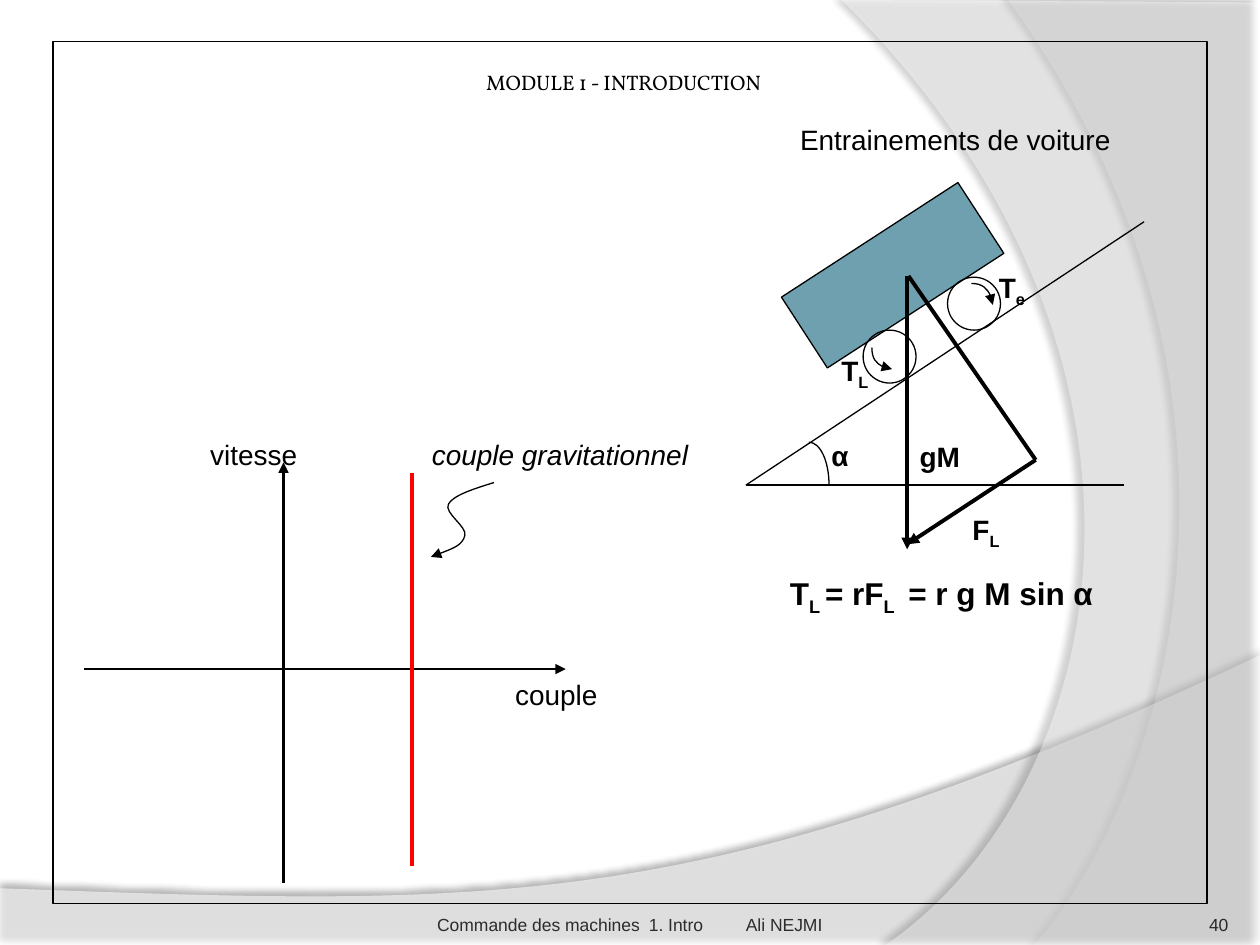
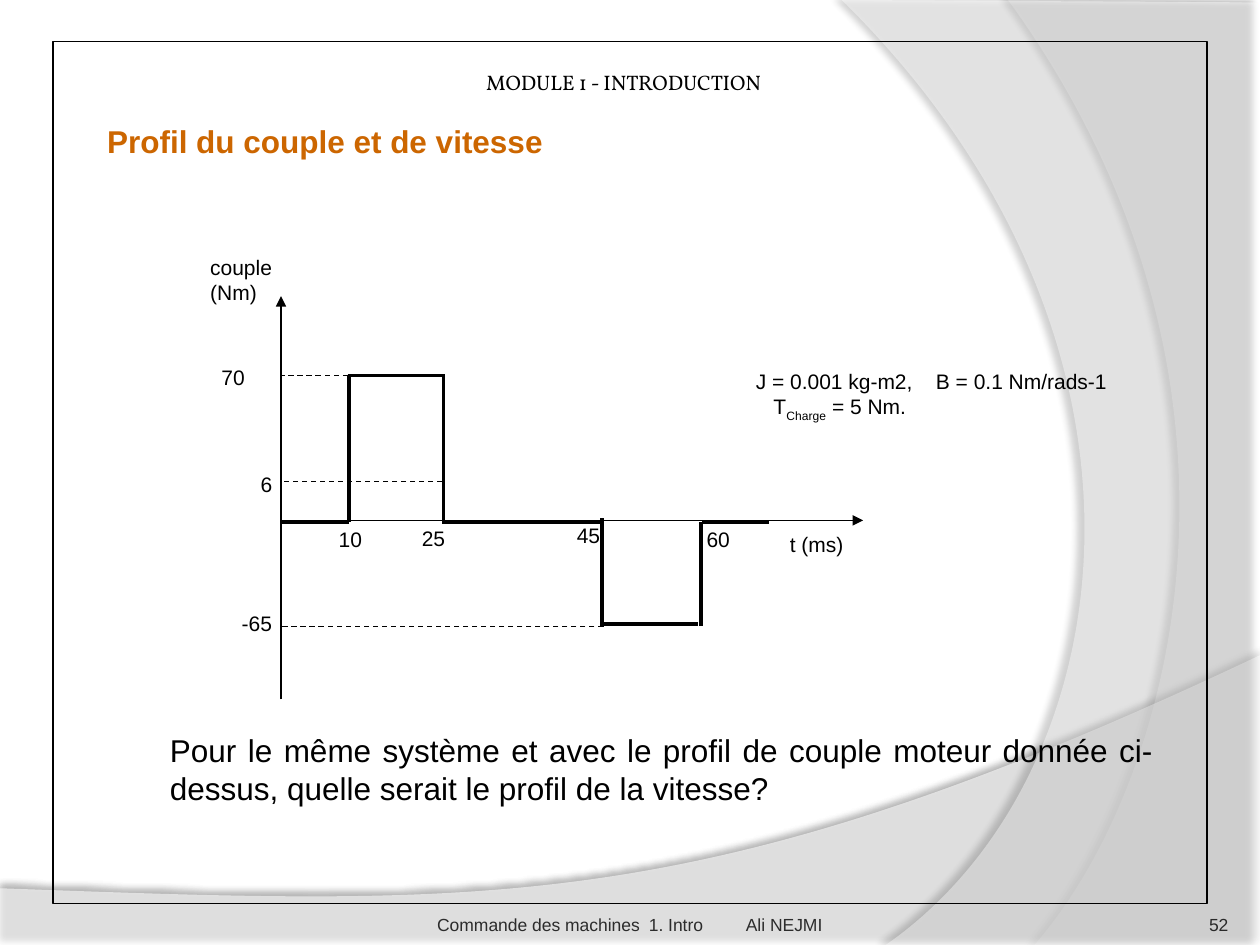
from pptx import Presentation
from pptx.dml.color import RGBColor
from pptx.enum.dml import MSO_LINE
from pptx.enum.shapes import MSO_CONNECTOR, MSO_SHAPE
from pptx.enum.text import MSO_ANCHOR, MSO_AUTO_SIZE, PP_ALIGN
from pptx.oxml.ns import qn
from pptx.oxml.xmlchemy import OxmlElement
from pptx.util import Pt

PX = 9144  # one px is 1/100 inch
STRAIGHT = MSO_CONNECTOR.STRAIGHT
RECTANGLE, OVAL = MSO_SHAPE.RECTANGLE, MSO_SHAPE.OVAL
DASH = MSO_LINE.DASH
TOP, MIDDLE, BOTTOM = MSO_ANCHOR.TOP, MSO_ANCHOR.MIDDLE, MSO_ANCHOR.BOTTOM
LEFT, CENTER, RIGHT, JUSTIFY = PP_ALIGN.LEFT, PP_ALIGN.CENTER, PP_ALIGN.RIGHT, PP_ALIGN.JUSTIFY
COLORS = {"black": "000000", "white": "FFFFFF", "car": "6EA0B0", "red": "FF0000",
          "heading": "CC6600", "footer": "2C2C2C", "number": "292929"}
COLORS = {name: RGBColor.from_string(value) for name, value in COLORS.items()}


def add_text(slide, box, paragraphs, size=12, color="black", bold=False, italic=False,
             font="Arial", align=LEFT, anchor=TOP, insets=(10, 5, 10, 5), tabs=(),
             indent=0, shape=None):
    """Each paragraph is a list of runs; every second run is a subscript."""
    left, top, width, height = [value * PX for value in box]
    if shape is None:
        shape = slide.shapes.add_textbox(left, top, width, height)
    shape.left, shape.top, shape.width, shape.height = left, top, width, height
    frame = shape.text_frame
    frame.word_wrap, frame.auto_size, frame.vertical_anchor = True, MSO_AUTO_SIZE.NONE, anchor
    (frame.margin_left, frame.margin_top,
     frame.margin_right, frame.margin_bottom) = [value * PX for value in insets]
    for number, runs in enumerate(paragraphs):
        paragraph = frame.add_paragraph() if number else frame.paragraphs[0]
        paragraph.alignment = align
        properties = paragraph._p.get_or_add_pPr()
        if number and indent:
            properties.set("marL", str(indent * PX))
        if tabs:
            tab_list = OxmlElement("a:tabLst")
            for position in tabs:
                tab = OxmlElement("a:tab")
                tab.set("pos", str(position * PX))
                tab.set("algn", "l")
                tab_list.append(tab)
            properties.append(tab_list)
        for index, text in enumerate(runs):
            run = paragraph.add_run()
            run.text = text
            run.font.name, run.font.size = font, Pt(size)
            run.font.bold, run.font.italic = bold, italic
            run.font.color.rgb = COLORS[color]
            if index % 2:
                run._r.get_or_add_rPr().set("baseline", "-25000")


def add_curve(slide, corners, controls, close=False):
    """Straight corners, then cubic curves with three control points each."""
    builder = slide.shapes.build_freeform(*corners[0], scale=PX)
    builder.add_line_segments(corners[1:] + controls, close=close)
    shape = builder.convert_to_shape()
    shape.fill.background()
    segments = list(shape.element.iter(qn("a:lnTo")))[-len(controls):]
    for first in range(0, len(segments), 3):
        cubic = OxmlElement("a:cubicBezTo")
        segments[first].addprevious(cubic)
        for segment in segments[first:first + 3]:
            cubic.append(segment[0])
            segment.getparent().remove(segment)
    return shape


presentation = Presentation()
presentation.slide_width, presentation.slide_height = 1000 * PX, 750 * PX
layout = presentation.slide_layouts[5]
car_slide = presentation.slides.add_slide(layout)
profile_slide = presentation.slides.add_slide(layout)

# Translucent background bands, moved to the shared layout
floor = ([(0, 705), (0, 751), (1000, 751), (1000, 520)],
         [(559, 729), (391, 719), (0, 705)], 45, 35, 3.5, 270)
narrow_band = ([(1000, 2), (1000, 750), (821, 750)],
               [(935, 619), (1018, 300), (800, 0)], 40, 45, 4, 180)
wide_band = ([(1000, 2), (1000, 750), (703, 750)],
             [(891, 619), (947, 275), (668, 0)], 40, 45, 4, 180)
for corners, controls, opacity, shade, distance, direction in (floor, narrow_band, floor, wide_band):
    band = add_curve(car_slide, corners, controls, close=True)
    band.fill.solid()
    band.fill.fore_color.rgb = COLORS["white"]
    band.line.fill.background()
    band.shadow.inherit = False
    properties = band.element.spPr
    shadow = OxmlElement("a:outerShdw")
    for name, value in (("blurRad", Pt(4)), ("dist", Pt(distance)), ("dir", direction * 60000),
                        ("algn", "ctr"), ("rotWithShape", 0)):
        shadow.set(name, str(value))
    shadow_color = OxmlElement("a:srgbClr")
    shadow_color.set("val", str(COLORS["black"]))
    shadow.append(shadow_color)
    properties.find(qn("a:effectLst")).append(shadow)
    fill_color = properties.find(qn("a:solidFill")).find(qn("a:srgbClr"))
    for element, percent in ((fill_color, opacity), (shadow_color, shade)):
        alpha = OxmlElement("a:alpha")
        alpha.set("val", str(percent * 1000))
        element.append(alpha)
    layout.shapes.element.append(band.element)

# Titles, header, frame and footer
strokes = []  # (shape, color, width, dashed, arrow)
for slide, number, title, box, size, color, bold in (
        (car_slide, "40", "Entrainements de voiture", (625, 92, 275, 37), 16, "black", False),
        (profile_slide, "52", "Profil du couple et de vitesse", (75, 92, 575, 40), 18, "heading", True)):
    add_text(slide, box, [[title]], size, color, bold, shape=slide.shapes.title)
    add_text(slide, (195, 33, 600, 42), [["MODULE 1 - INTRODUCTION"]], font="Vollkorn",
             align=CENTER, anchor=BOTTOM, insets=(0, 0, 0, 0))
    add_text(slide, (347, 702, 350, 40), [["Commande des machines\t1. Intro\tAli NEJMI"]], 10,
             "footer", anchor=BOTTOM, insets=(0, 5, 0, 0), tabs=(168, 245))
    add_text(slide, (892, 702, 83, 40), [[number]], 10, "number", align=RIGHT,
             anchor=BOTTOM, insets=(0, 0, 0, 0))
    page_frame = slide.shapes.add_shape(RECTANGLE, 42 * PX, 33 * PX, 916 * PX, 684 * PX)
    page_frame.fill.background()
    strokes.append((page_frame, "black", 0.75, False, False))

# Car body and wheels
for kind, box, rotation in ((RECTANGLE, (625, 185, 167, 67), 327),
                            (OVAL, (685, 262, 42, 42), 0), (OVAL, (752, 220, 42, 42), 0)):
    part = car_slide.shapes.add_shape(kind, *[value * PX for value in box])
    part.rotation = rotation
    if kind == RECTANGLE:
        part.fill.solid()
        part.fill.fore_color.rgb = COLORS["car"]
    else:
        part.fill.background()
    strokes.append((part, "black", 0.75, False, False))

# Wheel arrows, slope angle and wavy pointer
for start, controls, arrow in (
        ((771, 225), [(780, 225), (788, 233), (788, 242)], True),
        ((692, 276), [(692, 285), (699, 293), (708, 293)], True),
        ((642, 351), [(651, 351), (658, 366), (658, 385)], False),
        ((392, 383), [(376, 388), (360, 393), (356, 400), (352, 407), (371, 418), (369, 425),
                      (367, 433), (355, 437), (342, 442)], True)):
    strokes.append((add_curve(car_slide, [start], controls), "black", 0.75, False, arrow))

# Straight lines: start, end, color, width, dashed, arrow
car_lines = [
    ((592, 385), (908, 176), "black", 0.75, False, False),
    ((592, 385), (892, 385), "black", 0.75, False, False),
    ((225, 701), (225, 367), "black", 1.5, False, True),
    ((67, 531), (449, 531), "black", 1.5, False, True),
    ((327, 375), (327, 687), "red", 2.25, False, False),
    ((720, 219), (720, 436), "black", 2.25, False, True),
    ((721, 219), (822, 365), "black", 2.25, False, False),
    ((822, 365), (720, 432), "black", 2.25, False, True),
]
profile_lines = [
    ((223, 555), (223, 235), "black", 0.75, False, True),
    ((223, 413), (685, 413), "black", 0.75, False, True),
]
for y, end in ((298, 276), (382, 351), (497, 479)):
    profile_lines.append(((end, y), (223, y), "black", 0.75, True, False))
torque_steps = [((223, 414), (277, 414)), ((277, 414), (277, 298)), ((276, 298), (352, 298)),
                ((352, 414), (352, 297)), ((351, 414), (476, 414)), ((478, 497), (478, 411)),
                ((554, 495), (478, 495)), ((556, 497), (556, 414)), ((557, 414), (610, 414))]
for start, end in torque_steps:
    profile_lines.append((start, end, "black", 2.25, False, False))
for slide, lines in ((car_slide, car_lines), (profile_slide, profile_lines)):
    for start, end, *style in lines:
        ends = [value * PX for value in start + end]
        strokes.append((slide.shapes.add_connector(STRAIGHT, *ends), *style))

# Outline style of everything drawn above
for shape, color, width, dashed, arrow in strokes:
    shape.line.color.rgb = COLORS[color]
    shape.line.width = Pt(width)
    if dashed:
        shape.line.dash_style = DASH
    properties = shape.element.spPr
    if arrow:
        tail = OxmlElement("a:tailEnd")
        tail.set("type", "triangle")
        properties.find(qn("a:ln")).append(tail)
    properties.append(OxmlElement("a:effectLst"))

# Car slide labels
for box, runs in (((650, 343, 50, 37), ["α"]), ((658, 276, 50, 37), ["T", "L"]),
                  ((783, 210, 50, 37), ["T", "e"]), ((720, 344, 75, 37), ["gM"]),
                  ((762, 402, 50, 37), ["F", "L"])):
    add_text(car_slide, box, [runs], 16, bold=True)
add_text(car_slide, (617, 451, 292, 40), [["T", "L ", "= rF", "L ", " = r g M sin α"]], 18, bold=True)
add_text(car_slide, (157, 342, 95, 37), [["vitesse"]], 16)
add_text(car_slide, (399, 533, 95, 37), [["couple"]], 16)
add_text(car_slide, (333, 342, 232, 37), [["couple gravitationnel"]], 16, italic=True)

# Profile slide labels
for text, left, top, width in (("10", 259, 413, 47), ("25", 325, 412, 47), ("45", 448, 410, 47),
                               ("60", 551, 413, 47), ("70", 166, 284, 67), ("6", 197, 369, 37),
                               ("-65", 182, 480, 57), ("t (ms)", 617, 417, 114)):
    add_text(profile_slide, (left, top, width, 31), [[text]])
add_text(profile_slide, (157, 197, 79, 56), [["couple"], ["(Nm)"]])
add_text(profile_slide, (590, 289, 308, 50),
         [["J = 0.001 kg-m2,\tB = 0.1 Nm/rads-1"], ["T", "Charge", " = 5 Nm."]],
         anchor=MIDDLE, tabs=(143,), indent=14)
add_text(profile_slide, (125, 575, 800, 71),
         [["Pour le même système et avec le profil de couple moteur donnée ci-dessus, "
           "quelle serait le profil de la vitesse?"]], 18, align=JUSTIFY)

presentation.save("out.pptx")
